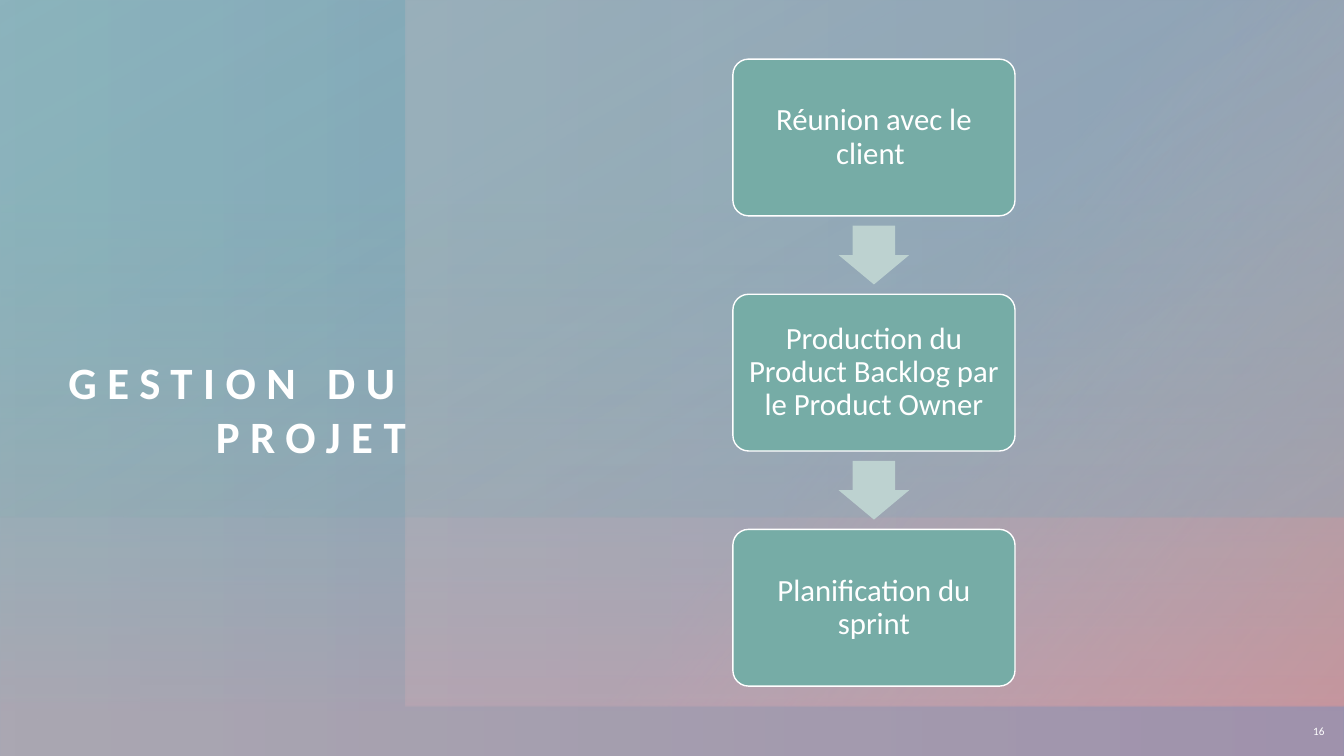
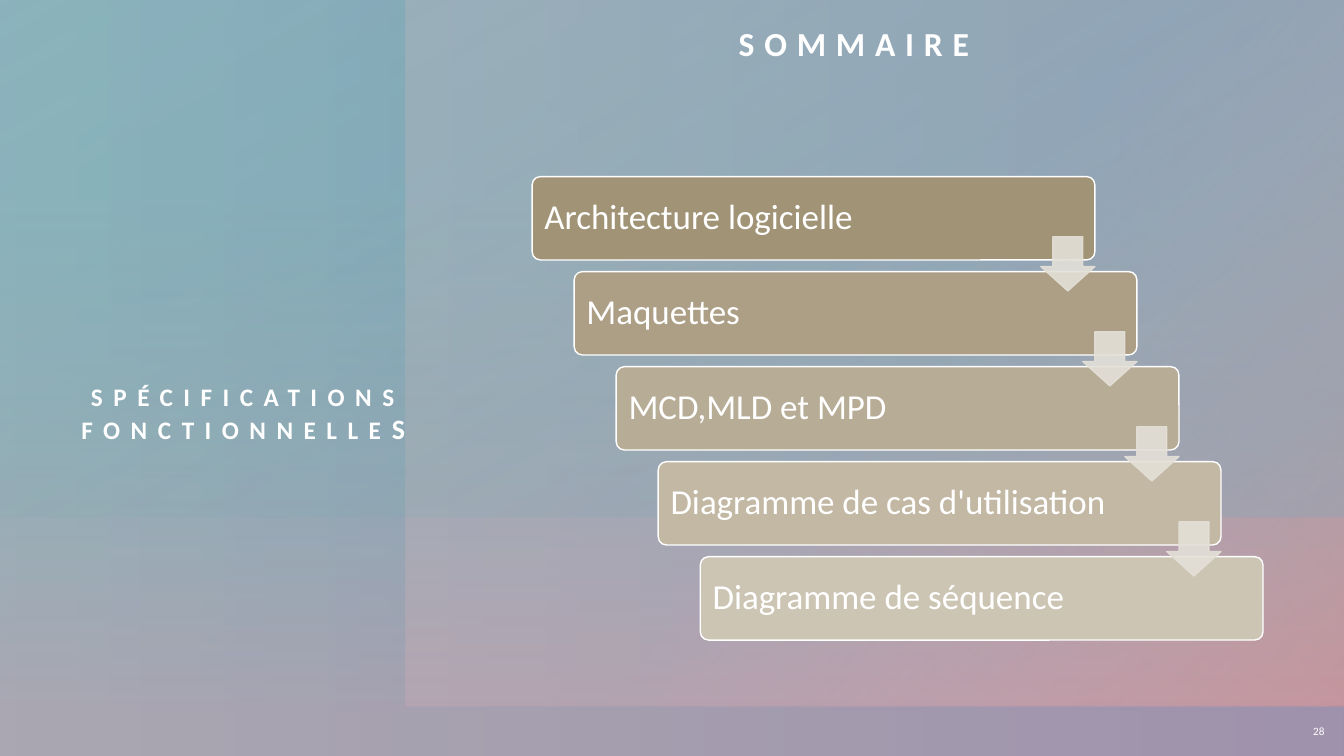
from dataclasses import dataclass

from pptx import Presentation
from pptx.dml.color import RGBColor
from pptx.enum.shapes import MSO_SHAPE as Preset
from pptx.enum.text import MSO_ANCHOR as Anchor, MSO_AUTO_SIZE as AutoSize, PP_ALIGN as Align
from pptx.oxml import parse_xml
from pptx.oxml.ns import nsdecls, qn
from pptx.util import Cm, Pt


@dataclass(frozen=True)
class Theme:
    """Colours and type sizes of the deck."""
    font: str = "Calibri"
    white: str = "FFFFFF"
    teal: str = "76ACA6"
    pale_teal: str = "BDD2D0"
    sky: str = "7EA8B9"
    blue: str = "7F90BA"
    blush: str = "DDC0C5"
    rose: str = "C6969E"
    sand: str = "E4E0D8"
    stairs: tuple = ("A19375", "AC9F85", "B7AC95", "C2B8A4", "CDC5B4")
    side_title: int = 32
    top_title: int = 24
    side_label: int = 18
    last_letter: int = 20
    stair_text: int = 25
    card_text: int = 22
    number: int = 8


@dataclass(frozen=True)
class Box:
    """A rectangle in centimetres."""
    left: float
    top: float
    width: float
    height: float

    def lengths(self):
        """Return the four lengths for python-pptx."""
        return Cm(self.left), Cm(self.top), Cm(self.width), Cm(self.height)

    def turned(self):
        """Return the frame that fills this box after a quarter turn."""
        shift = (self.width - self.height) / 2
        return Box(self.left + shift, self.top - shift, self.height, self.width)


THEME = Theme()
PAGE = Box(0, 0, 33.87, 19.05)
SIDE = Box(0, 1.75, 10.21, 9.47)
SIDE_TITLE = Box(1.24, 2.18, 8.99, 9.47)
TOP_TITLE = Box(9.17, 0, 24.7, 2.16)
NUMBER = Box(32.41, 17.81, 1.22, 1.24)
FLOW = Box(18.47, 1.49, 7.11, 15.8)
STAIRS = Box(13.41, 4.45, 18.42, 11.68)


def write(shape, text, size, align, anchor=Anchor.MIDDLE, inset=0.0, bold=False,
          tracking=0, leading=None):
    """Fill a shape with one formatted paragraph and return it."""
    frame = shape.text_frame
    frame.word_wrap = True
    frame.auto_size = AutoSize.NONE
    frame.vertical_anchor = anchor
    frame.margin_left = frame.margin_right = Cm(inset)
    frame.margin_top = frame.margin_bottom = Cm(inset)
    para = frame.paragraphs[0]
    para.add_run().text = text
    para.alignment = align
    para.line_spacing = leading
    font = para.font
    font.name, font.size, font.bold = THEME.font, Pt(size), bold
    font.color.rgb = RGBColor.from_string(THEME.white)
    if tracking:
        para._p.pPr.find(qn("a:defRPr")).set("spc", str(int(tracking * 100)))
    return para


def draw(page, preset, box, colour, outline=None, adjustments=()):
    """Add a flat preset shape."""
    shape = page.shapes.add_shape(preset, *box.lengths())
    shape.shadow.inherit = False
    shape.fill.solid()
    shape.fill.fore_color.rgb = RGBColor.from_string(colour)
    if outline:
        shape.line.color.rgb = RGBColor.from_string(outline)
        shape.line.width = Pt(1)
    else:
        shape.line.fill.background()
    for index, value in enumerate(adjustments):
        shape.adjustments[index] = value
    return shape


def set_opacity(shape, percent):
    """Make the fill and the line of a shape translucent."""
    for colour in list(shape.element.spPr.iter(qn("a:srgbClr"))):
        colour.append(parse_xml(f'<a:alpha {nsdecls("a")} val="{percent * 1000}"/>'))


def draw_veil(page, box, stops, angle, rotation=0, flipped=False):
    """Lay a translucent gradient over a box; stops are (position, colour, opacity)."""
    veil = draw(page, Preset.RECTANGLE, box.turned() if rotation else box, THEME.white)
    veil.rotation = rotation
    properties = veil.element.spPr
    if flipped:
        properties.find(qn("a:xfrm")).set("flipH", "1")
    marks = "".join(
        f'<a:gs pos="{position * 1000}"><a:srgbClr val="{colour}">'
        f'<a:alpha val="{opacity * 1000}"/></a:srgbClr></a:gs>'
        for position, colour, opacity in stops)
    gradient = parse_xml(
        f'<a:gradFill {nsdecls("a")} rotWithShape="1"><a:gsLst>{marks}</a:gsLst>'
        f'<a:lin ang="{angle * 60000}" scaled="0"/></a:gradFill>')
    properties.replace(properties.find(qn("a:solidFill")), gradient)


def draw_backdrop(page, box):
    """Layer the four gradients shared by all slides."""
    draw_veil(page, box, [(0, THEME.sky, 83), (100, THEME.blue, 100)], 0)
    panel = Box(box.left + 10.21, box.top, box.width - 10.21, 17.81)
    draw_veil(page, panel, [(51, THEME.blush, 33), (100, THEME.rose, 100)], 310, 90)
    draw_veil(page, box, [(6, THEME.rose, 45), (74, THEME.teal, 21)], 0, 90, True)
    upper = Box(box.left, box.top, box.width, 13.03)
    draw_veil(page, upper, [(0, THEME.teal, 0), (99, THEME.sky, 32)], 150, 270)


def add_text(page, box, *args, **options):
    """Add a text box with one paragraph and return the paragraph."""
    return write(page.shapes.add_textbox(*box.lengths()), *args, **options)


def place_title(page, box, *args, **options):
    """Move the title placeholder into a box, in front of the backdrop."""
    title = page.shapes.title
    title.left, title.top, title.width, title.height = box.lengths()
    title.element.getparent().append(title.element)
    write(title, *args, bold=True, **options)


def add_page(deck, number):
    """Start a slide with the backdrop and its number."""
    page = deck.slides.add_slide(deck.slide_layouts[5])
    draw_backdrop(page, PAGE)
    add_text(page, NUMBER, number, THEME.number, Align.RIGHT, inset=0.25)
    return page


def draw_flow(page, box, steps):
    """Stack cards down a box with an arrow in each gap of half a card."""
    height = box.height / (1.5 * len(steps) - 0.5)
    gap = height / 2
    arrow_width, arrow_height = 0.45 * height, 0.75 * gap
    for index, step in enumerate(steps):
        top = box.top + index * (height + gap)
        if index:
            arrow = Box(box.left + (box.width - arrow_width) / 2,
                        top - (gap + arrow_height) / 2, arrow_width, arrow_height)
            draw(page, Preset.DOWN_ARROW, arrow, THEME.pale_teal, adjustments=(0.6, 0.5))
        card = draw(page, Preset.ROUNDED_RECTANGLE, Box(box.left, top, box.width, height),
                    THEME.teal, THEME.white, (0.1,))
        write(card, step, THEME.card_text, Align.CENTER, inset=0.23, leading=0.9)


def draw_stairs(page, box, steps):
    """Step bars down and to the right across a box, joined by arrows."""
    width, height = 0.77 * box.width, 0.18 * box.height
    across = (box.width - width) / (len(steps) - 1)
    down = (box.height - height) / (len(steps) - 1)
    side = 0.65 * height
    bars = [Box(box.left + index * across, box.top + index * down, width, height)
            for index in range(len(steps))]
    for bar, step, colour in zip(bars, steps, THEME.stairs):
        shape = draw(page, Preset.ROUNDED_RECTANGLE, bar, colour, THEME.white, (0.1,))
        write(shape, step, THEME.stair_text, Align.LEFT, inset=0.25, leading=0.9)
    for bar in bars[:-1]:
        spot = Box(bar.left + width - side, bar.top + 0.72 * height, side, side)
        arrow = draw(page, Preset.DOWN_ARROW, spot, THEME.sand, THEME.sand, (0.55, 0.45))
        set_opacity(arrow, 90)


def build_project(deck):
    """Build the project management slide."""
    page = add_page(deck, "16")
    place_title(page, SIDE_TITLE, "GESTION DU PROJET", THEME.side_title, Align.RIGHT,
                anchor=Anchor.BOTTOM, tracking=7.5)
    draw_flow(page, FLOW, ["Réunion avec le client ",
                           "Production du Product Backlog par le Product Owner",
                           "Planification du sprint"])


def build_summary(deck):
    """Build the summary slide of the functional specifications."""
    page = add_page(deck, "28")
    place_title(page, TOP_TITLE, "SOMMAIRE", THEME.top_title, Align.CENTER, tracking=7)
    label = add_text(page, SIDE, "SPÉCIFICATIONS FONCTIONNELLE", THEME.side_label,
                     Align.RIGHT, anchor=Anchor.BOTTOM, bold=True, tracking=7.5)
    span = label.add_run()
    span.text = "S"
    span.font.size = Pt(THEME.last_letter)
    draw_stairs(page, STAIRS, ["Architecture logicielle", "Maquettes", "MCD,MLD et MPD",
                               "Diagramme de cas d'utilisation", "Diagramme de séquence"])


def main():
    """Build and save the deck."""
    deck = Presentation()
    deck.slide_width, deck.slide_height = Cm(PAGE.width), Cm(PAGE.height)
    build_project(deck)
    build_summary(deck)
    deck.save("out.pptx")


if __name__ == "__main__":
    main()
